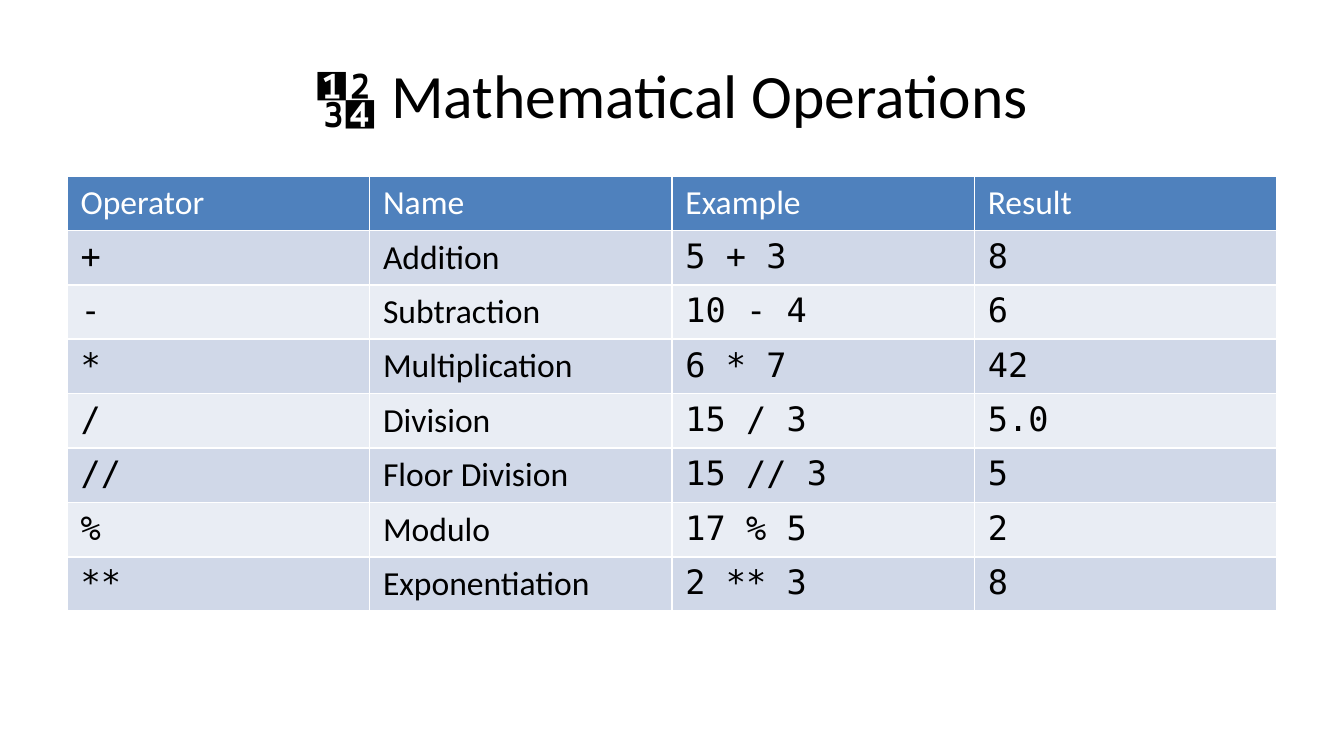
from pptx import Presentation
from pptx.dml.color import RGBColor
from pptx.enum import text
from pptx.util import Inches, Pt

COLOURS = {
    "ink": "000000",
    "header": "4F81BD",
    "header_text": "FFFFFF",
    "odd_row": "D0D8E8",
    "even_row": "E9EDF4",
}
BODY_FONT = "Calibri"
CODE_FONT = "DejaVu Sans Mono"
NAME_COLUMN = 1

HEADINGS = ("Operator", "Name", "Example", "Result")
OPERATIONS = [
    ("+", "Addition", "5 + 3", "8"),
    ("-", "Subtraction", "10 - 4", "6"),
    ("*", "Multiplication", "6 * 7", "42"),
    ("/", "Division", "15 / 3", "5.0"),
    ("//", "Floor Division", "15 // 3", "5"),
    ("%", "Modulo", "17 % 5", "2"),
    ("**", "Exponentiation", "2 ** 3", "8"),
]


def colour(name):
    return RGBColor.from_string(COLOURS[name])


def write(frame, content, size, font, ink):
    """Fill a text frame with one paragraph and format it."""
    frame.text = content
    para = frame.paragraphs[0]
    for span in para.runs:
        span.font.name = font
        span.font.size = Pt(size)
        span.font.bold = False
        span.font.color.rgb = colour(ink)
    return para


def add_title(page, content):
    box = page.shapes.add_textbox(Inches(0.5), Inches(0.23), Inches(9), Inches(0.94))
    frame = box.text_frame
    frame.word_wrap = True
    frame.vertical_anchor = text.MSO_ANCHOR.MIDDLE
    para = write(frame, content, 33, BODY_FONT, "ink")
    para.alignment = text.PP_ALIGN.CENTER


def fill_cell(cell, content, font, fill, ink):
    cell.fill.solid()
    cell.fill.fore_color.rgb = colour(fill)
    write(cell.text_frame, content, 18, font, ink)


def add_operations_table(page):
    # The default table style supplies the white cell borders
    table = page.shapes.add_table(
        len(OPERATIONS) + 1, len(HEADINGS),
        Inches(0.5), Inches(1.31), Inches(9), Inches(3.24),
    ).table

    # Header row
    for column, heading in enumerate(HEADINGS):
        fill_cell(table.cell(0, column), heading, BODY_FONT, "header", "header_text")

    # Operator rows in alternating bands, with code in monospace
    for row, operation in enumerate(OPERATIONS, start=1):
        band = "odd_row" if row % 2 else "even_row"
        for column, content in enumerate(operation):
            font = BODY_FONT if column == NAME_COLUMN else CODE_FONT
            fill_cell(table.cell(row, column), content, font, band, "ink")


def main():
    # Widescreen 16:9 page
    deck = Presentation()
    deck.slide_width = Inches(10)
    deck.slide_height = deck.slide_width * 9 // 16
    page = deck.slides.add_slide(deck.slide_layouts[6])

    add_title(page, "🔢 Mathematical Operations")
    add_operations_table(page)

    deck.save("out.pptx")


if __name__ == "__main__":
    main()
